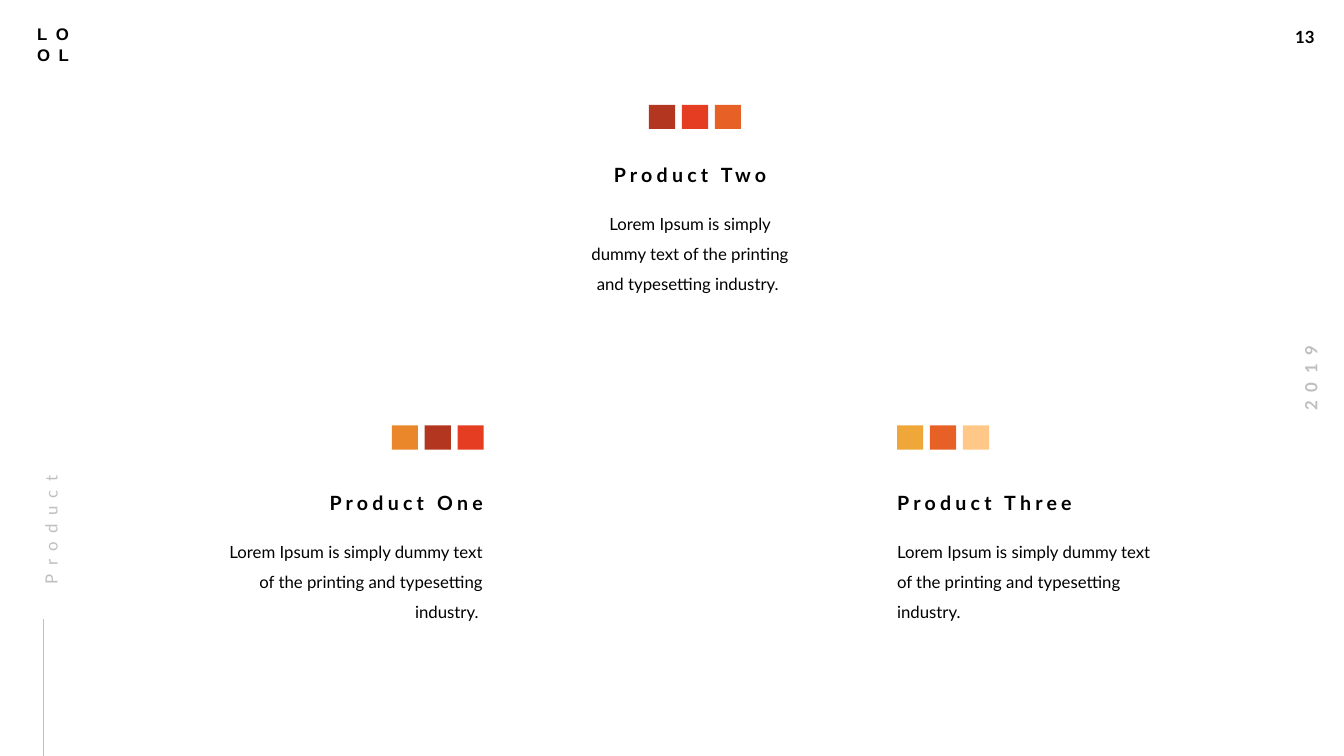
from pptx import Presentation
from pptx.dml.color import RGBColor
from pptx.enum.shapes import MSO_CONNECTOR as Connector, MSO_SHAPE as Shape
from pptx.enum.text import MSO_AUTO_SIZE as AutoSize, PP_ALIGN as Align
from pptx.oxml.ns import qn
from pptx.util import Pt
from lxml import etree

BLACK = RGBColor(0x00, 0x00, 0x00)
GREY = RGBColor(0xBF, 0xBF, 0xBF)
BRICK = RGBColor(0xB3, 0x37, 0x20)
RED = RGBColor(0xE4, 0x3D, 0x22)
ORANGE = RGBColor(0xE7, 0x60, 0x26)
AMBER = RGBColor(0xEB, 0x87, 0x2B)
GOLD = RGBColor(0xEE, 0xA7, 0x38)
PEACH = RGBColor(0xFF, 0xC8, 0x88)

PAGE_WIDTH, PAGE_HEIGHT = 960, 540
DEFAULT_INSETS = (7.2, 3.6, 7.2, 3.6)
FLUSH_INSETS = (0, 0, 7.2, 0)
SWATCH_WIDTH, SWATCH_HEIGHT, SWATCH_STEP = 18.72, 17.28, 23.5
TITLE_WIDTH, TITLE_HEIGHT = 169.2, 17.28
BODY_OFFSET, BODY_HEIGHT = 28.8, 62.64
RIGHT_INSET = 6.5
SHARE = {Align.LEFT: 0, Align.CENTER: 0.5, Align.RIGHT: 1}
BLURB = "Lorem Ipsum is simply dummy text of the printing and typesetting industry."


def add_text(page, place, lines, size=12, font="Lato", color=BLACK, bold=False,
             spacing=0, align=Align.LEFT, insets=DEFAULT_INSETS, wrap=True,
             before=0, leading=None, rotation=0):
    box = page.shapes.add_textbox(*[Pt(length) for length in place])
    box.rotation = rotation
    frame = box.text_frame
    frame.word_wrap = wrap
    frame.auto_size = AutoSize.SHAPE_TO_FIT_TEXT
    (frame.margin_left, frame.margin_top,
     frame.margin_right, frame.margin_bottom) = [Pt(inset) for inset in insets]
    for index, line in enumerate(lines):
        para = frame.add_paragraph() if index else frame.paragraphs[0]
        para.alignment = align
        para.space_before = Pt(before)
        if leading:
            para.line_spacing = leading
        span = para.add_run()
        span.text = line
        span.font.name, span.font.size, span.font.bold = font, Pt(size), bold
        span.font.color.rgb = color
        if spacing:
            span.font._element.set("spc", str(spacing * 100))


def add_header(page):
    # Wordmark and page number
    add_text(page, (19.44, 13.68, 42.48, 36), ["LO", "OL"], font="Arial",
             bold=True, spacing=6)
    add_text(page, (918, 15.84, 29.52, 21.6), ["13"], bold=True, wrap=False)


def add_margins(page):
    # Year on the right edge
    add_text(page, (902.88, 259.2, 66.96, 21.6), ["2019"], color=GREY, bold=True,
             spacing=6, align=Align.CENTER, wrap=False, rotation=270)
    # Section name and rule on the left edge
    add_text(page, (-35.28, 341.28, 133.2, 18.72), ["Product"], color=GREY,
             spacing=6, insets=FLUSH_INSETS, before=12, leading=1.5, rotation=270)
    rule = page.shapes.add_connector(Connector.STRAIGHT, Pt(30.96), Pt(PAGE_HEIGHT),
                                     Pt(30.96), Pt(442.08))
    rule.line.color.rgb = GREY
    rule.line.width = Pt(0.5)
    etree.SubElement(rule._element.spPr, qn("a:effectLst"))


def add_product(page, left, top, width, title_offset, title, body, colors, align):
    def aligned(part_width):
        return left + (width - part_width) * SHARE[align]

    # Colour swatches
    row_left = aligned(SWATCH_STEP * (len(colors) - 1) + SWATCH_WIDTH)
    if align == Align.RIGHT:
        row_left -= RIGHT_INSET
    for index, color in enumerate(colors):
        swatch = page.shapes.add_shape(
            Shape.RECTANGLE, Pt(row_left + index * SWATCH_STEP), Pt(top),
            Pt(SWATCH_WIDTH), Pt(SWATCH_HEIGHT))
        swatch.shadow.inherit = False
        swatch.fill.solid()
        swatch.fill.fore_color.rgb = color
        swatch.line.fill.background()

    # Title and description
    title_top = top + title_offset
    add_text(page, (aligned(TITLE_WIDTH), title_top, TITLE_WIDTH, TITLE_HEIGHT),
             [title], size=14, bold=True, spacing=3, align=align,
             insets=FLUSH_INSETS, before=12)
    add_text(page, (left, title_top + BODY_OFFSET, width, BODY_HEIGHT), [body],
             align=align, insets=FLUSH_INSETS, before=12, leading=1.5)


def main():
    deck = Presentation()
    deck.slide_width, deck.slide_height = Pt(PAGE_WIDTH), Pt(PAGE_HEIGHT)
    page = deck.slides.add_slide(deck.slide_layouts[6])
    add_header(page)
    add_margins(page)
    add_product(page, 418.32, 74.88, 156.24, 41.76, "Product Two", BLURB + " ",
                (BRICK, RED, ORANGE), Align.CENTER)
    add_product(page, 162.72, 303.84, 189.36, 46.8, "Product One", BLURB + " ",
                (AMBER, BRICK, RED), Align.RIGHT)
    add_product(page, 640.8, 303.84, 189.36, 46.8, "Product Three", BLURB,
                (GOLD, ORANGE, PEACH), Align.LEFT)
    deck.save("out.pptx")


if __name__ == "__main__":
    main()
